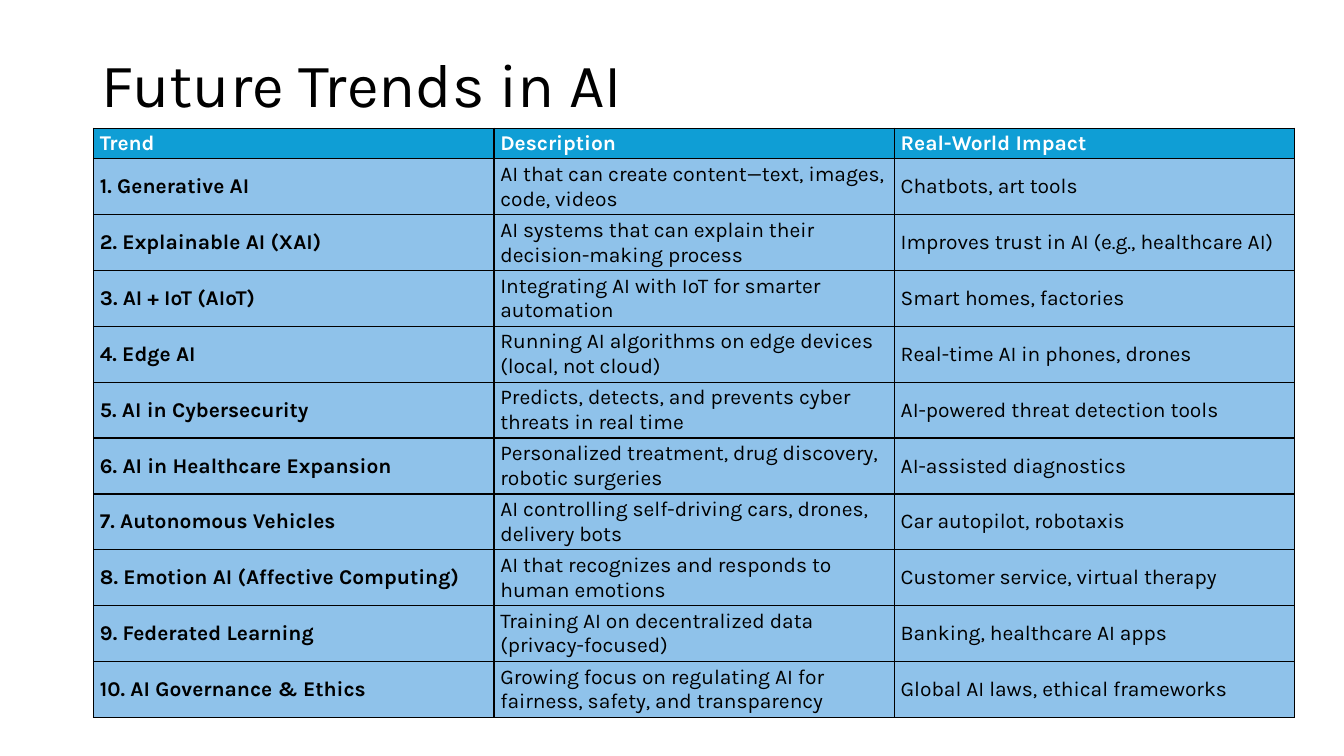
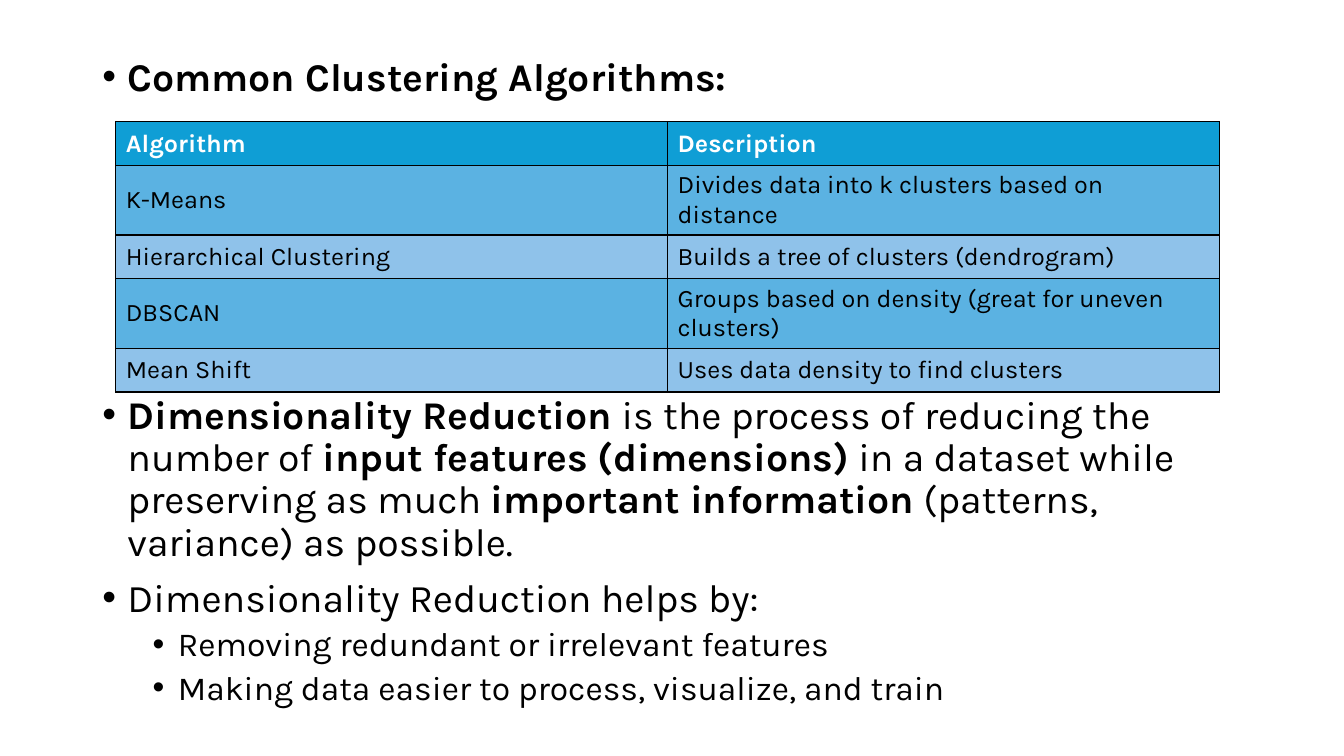
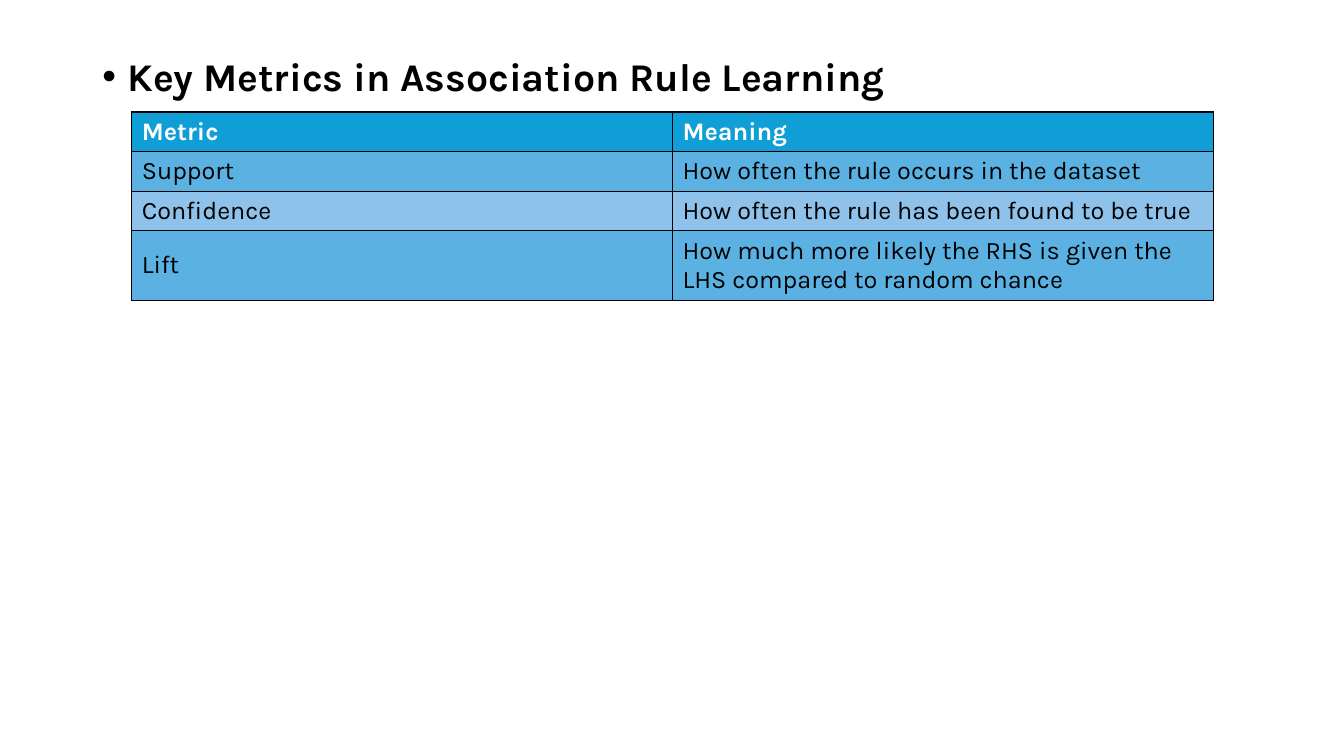
from dataclasses import dataclass

from lxml.etree import SubElement
from pptx import Presentation
from pptx.dml.color import RGBColor
from pptx.enum.text import MSO_ANCHOR
from pptx.oxml.ns import qn
from pptx.util import Pt


@dataclass(frozen=True)
class Theme:
    font: str = "Karla"
    text: str = "000000"
    header_text: str = "FFFFFF"
    header_fill: str = "0F9ED5"
    strong_fill: str = "5BB2E2"
    soft_fill: str = "8FC2EA"
    border: str = "000000"
    border_width: float = 1
    title_size: float = 44
    body_sizes: tuple = (28, 24)
    body_spacing: tuple = (10, 5)
    body_indents: tuple = (18, 54)
    hanging: float = 18
    line_spacing: float = 0.9


def apply_format(target, values):
    for name, value in values.items():
        setattr(target, name, value)


class Deck:
    """Builds slides in one shared style."""

    def __init__(self, theme):
        self.theme = theme
        self.presentation = Presentation()
        apply_format(self.presentation, {"slide_width": Pt(960), "slide_height": Pt(540)})
        self.slide = None

    def add_slide(self):
        self.slide = self.presentation.slides.add_slide(self.presentation.slide_layouts[6])

    def add_run(self, paragraph, text, size, bold=False, color=None):
        run = paragraph.add_run()
        run.text = text
        apply_format(run.font, {"name": self.theme.font, "size": Pt(size), "bold": bold})
        run.font.color.rgb = RGBColor.from_string(color or self.theme.text)

    def add_text_frame(self, left, top, width, height, anchor):
        shape = self.slide.shapes.add_textbox(Pt(left), Pt(top), Pt(width), Pt(height))
        apply_format(shape.text_frame, {"word_wrap": True, "vertical_anchor": anchor})
        return shape.text_frame

    def add_title(self, text):
        frame = self.add_text_frame(65.5, 10, 828, 104.4, MSO_ANCHOR.MIDDLE)
        paragraph = frame.paragraphs[0]
        paragraph.line_spacing = self.theme.line_spacing
        self.add_run(paragraph, text, self.theme.title_size)

    def add_bullets(self, top, height, items):
        theme = self.theme
        frame = self.add_text_frame(66, top, 828, height, MSO_ANCHOR.TOP)
        for index, (level, runs) in enumerate(items):
            paragraph = frame.add_paragraph() if index else frame.paragraphs[0]
            properties = paragraph._p.get_or_add_pPr()
            properties.set("marL", str(Pt(theme.body_indents[level])))
            properties.set("indent", str(-Pt(theme.hanging)))
            SubElement(properties, qn("a:buFont"), typeface="Arial")
            SubElement(properties, qn("a:buChar"), char="•")
            apply_format(paragraph, {
                "level": level,
                "line_spacing": theme.line_spacing,
                "space_before": Pt(theme.body_spacing[level] if index else 0),
            })
            for text, bold in runs:
                self.add_run(paragraph, text, theme.body_sizes[level], bold)

    def add_borders(self, cell):
        properties = cell._tc.get_or_add_tcPr()
        for side in ("lnL", "lnR", "lnT", "lnB"):
            line = SubElement(properties, qn(f"a:{side}"), w=str(Pt(self.theme.border_width)))
            fill = SubElement(line, qn("a:solidFill"))
            SubElement(fill, qn("a:srgbClr"), val=self.theme.border)

    def add_table(self, left, top, column_width, row_heights, rows, size,
                  margins=(7.2, 3.2), banded=True, bold_first_column=False):
        theme = self.theme
        columns = len(rows[0])
        table = self.slide.shapes.add_table(
            len(rows), columns, Pt(left), Pt(top),
            Pt(column_width * columns), Pt(sum(row_heights))).table
        table.horz_banding = False
        for column in table.columns:
            column.width = Pt(column_width)
        side, edge = margins
        cell_format = {
            "margin_left": Pt(side), "margin_right": Pt(side),
            "margin_top": Pt(edge), "margin_bottom": Pt(edge),
            "vertical_anchor": MSO_ANCHOR.MIDDLE,
        }
        for row_index, texts in enumerate(rows):
            table.rows[row_index].height = Pt(row_heights[row_index])
            header = row_index == 0
            if header:
                fill_color = theme.header_fill
            else:
                fill_color = theme.strong_fill if banded and row_index % 2 else theme.soft_fill
            for column_index, text in enumerate(texts):
                cell = table.cell(row_index, column_index)
                apply_format(cell, cell_format)
                self.add_borders(cell)
                cell.fill.solid()
                cell.fill.fore_color.rgb = RGBColor.from_string(fill_color)
                bold = header or (bold_first_column and column_index == 0)
                color = theme.header_text if header else theme.text
                self.add_run(cell.text_frame.paragraphs[0], text, size, bold, color)


def add_trends_slide(deck):
    trends = [
        ("Trend", "Description", "Real-World Impact"),
        ("1. Generative AI", "AI that can create content—text, images, code, videos",
         "Chatbots, art tools"),
        ("2. Explainable AI (XAI)", "AI systems that can explain their decision-making process",
         "Improves trust in AI (e.g., healthcare AI)"),
        ("3. AI + IoT (AIoT)", "Integrating AI with IoT for smarter automation",
         "Smart homes, factories"),
        ("4. Edge AI", "Running AI algorithms on edge devices (local, not cloud)",
         "Real-time AI in phones, drones"),
        ("5. AI in Cybersecurity", "Predicts, detects, and prevents cyber threats in real time",
         "AI-powered threat detection tools"),
        ("6. AI in Healthcare Expansion",
         "Personalized treatment, drug discovery, robotic surgeries", "AI-assisted diagnostics"),
        ("7. Autonomous Vehicles", "AI controlling self-driving cars, drones, delivery bots",
         "Car autopilot, robotaxis"),
        ("8. Emotion AI (Affective Computing)",
         "AI that recognizes and responds to human emotions", "Customer service, virtual therapy"),
        ("9. Federated Learning", "Training AI on decentralized data (privacy-focused)",
         "Banking, healthcare AI apps"),
        ("10. AI Governance & Ethics",
         "Growing focus on regulating AI for fairness, safety, and transparency",
         "Global AI laws, ethical frameworks"),
    ]
    deck.add_slide()
    deck.add_title("Future Trends in AI")
    deck.add_table(66.8, 91.5, 286, [22] + [39.9] * 10, trends, 15,
                   margins=(4.6, 1.9), banded=False, bold_first_column=True)


def add_clustering_slide(deck):
    algorithms = [
        ("Algorithm", "Description"),
        ("K-Means", "Divides data into k clusters based on distance"),
        ("Hierarchical Clustering", "Builds a tree of clusters (dendrogram)"),
        ("DBSCAN", "Groups based on density (great for uneven clusters)"),
        ("Mean Shift", "Uses data density to find clusters"),
    ]
    deck.add_slide()
    deck.add_bullets(37.4, 45, [(0, [("Common Clustering Algorithms:", True)])])
    deck.add_bullets(278.8, 244, [
        (0, [("Dimensionality Reduction", True),
             (" is the process of reducing the number of ", False),
             ("input features (dimensions)", True),
             (" in a dataset while preserving as much ", False),
             ("important information", True),
             (" (patterns, variance) as possible.", False)]),
        (0, [("Dimensionality Reduction helps by:", False)]),
        (1, [("Removing redundant or irrelevant features", False)]),
        (1, [("Making data easier to process, visualize, and train", False)]),
    ])
    deck.add_table(82.7, 87, 394.2, [31.3, 49.6, 31.3, 49.6, 31.3], algorithms, 18)


def add_metrics_slide(deck):
    metrics = [
        ("Metric", "Meaning"),
        ("Support", "How often the rule occurs in the dataset"),
        ("Confidence", "How often the rule has been found to be true"),
        ("Lift", "How much more likely the RHS is given the LHS compared to random chance"),
    ]
    deck.add_slide()
    deck.add_bullets(37.4, 45, [(0, [("Key Metrics in Association Rule Learning", True)])])
    deck.add_table(94.1, 80, 386.3, [28.3, 28.3, 28.3, 49.4], metrics, 18)


def main():
    deck = Deck(Theme())
    add_trends_slide(deck)
    add_clustering_slide(deck)
    add_metrics_slide(deck)
    deck.presentation.save("out.pptx")


if __name__ == "__main__":
    main()
